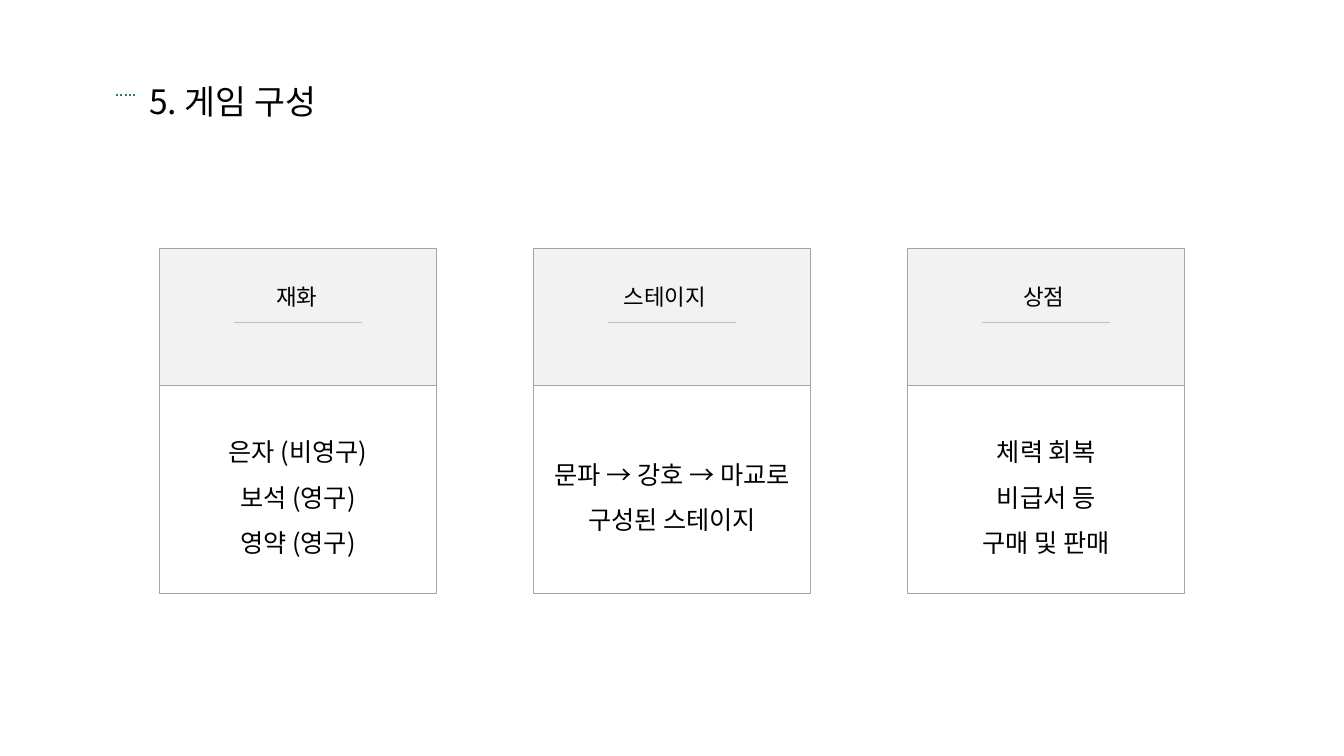
from dataclasses import dataclass

from lxml.etree import SubElement
from pptx import Presentation
from pptx.dml.color import RGBColor
from pptx.enum.dml import MSO_LINE
from pptx.enum.shapes import MSO_CONNECTOR, MSO_SHAPE
from pptx.enum.text import MSO_ANCHOR, MSO_AUTO_SIZE, PP_ALIGN
from pptx.oxml.ns import qn
from pptx.shapes.autoshape import Shape
from pptx.shapes.shapetree import GroupShapes, SlideShapes
from pptx.text.text import TextFrame
from pptx.util import Inches, Pt

FONT = "Noto Sans CJK KR"
CARD_LEFT, CARD_STEP, CARD_WIDTH = 1.58, 3.71, 2.75
HEADER_TOP, HEADER_HEIGHT, DETAIL_HEIGHT = 2.46, 1.36, 2.07
RULE_OFFSET, RULE_WIDTH, RULE_TOP = 0.74, 1.27, 3.2


@dataclass(frozen=True)
class Card:
    """One game component: its heading, heading box and details."""

    heading: str
    heading_offset: float
    heading_width: float
    details: tuple[str, ...]


CARDS = (
    Card("재화", 1.06, 0.65, ("은자 (비영구)", "보석 (영구)", "영약 (영구)")),
    Card("스테이지", 0.8, 1.1, ("문파 → 강호 → 마교로", "구성된 스테이지")),
    Card("상점", 1.05, 0.65, ("체력 회복", "비급서 등", "구매 및 판매")),
)


def color(value: str) -> RGBColor:
    """Turn a hex string into a colour."""
    return RGBColor.from_string(value)


def write(frame: TextFrame, *lines: str, size: float, align: PP_ALIGN = PP_ALIGN.LEFT,
          spacing: float = 1.0, anchor: MSO_ANCHOR = MSO_ANCHOR.TOP,
          wrap: bool = False) -> None:
    """Fill a text frame with one formatted paragraph per line."""
    frame.word_wrap = wrap
    frame.auto_size = MSO_AUTO_SIZE.NONE if wrap else MSO_AUTO_SIZE.SHAPE_TO_FIT_TEXT
    frame.vertical_anchor = anchor
    for index, line in enumerate(lines):
        paragraph = frame.add_paragraph() if index else frame.paragraphs[0]
        paragraph.alignment = align
        paragraph.line_spacing = spacing
        run = paragraph.add_run()
        run.text = line
        run.font.size = Pt(size)
        run.font.color.rgb = color("000000")
        run.font.name = FONT
        SubElement(run.font._element, qn("a:ea"), typeface=FONT)


def draw_line(shapes: SlideShapes, start: float, end: float, top: float, *,
              stroke: str, width: float, dash: MSO_LINE | None = None) -> None:
    """Draw a horizontal line without a shadow."""
    line = shapes.add_connector(MSO_CONNECTOR.STRAIGHT, Inches(start), Inches(top),
                                Inches(end), Inches(top))
    line.line.color.rgb = color(stroke)
    line.line.width = Pt(width)
    if dash is not None:
        line.line.dash_style = dash
    SubElement(line._element.spPr, qn("a:effectLst"))


def draw_panel(shapes: GroupShapes, left: float, top: float, height: float,
               fill: str | None = None) -> Shape:
    """Draw a bordered card panel, filled if a colour is given."""
    panel = shapes.add_shape(MSO_SHAPE.RECTANGLE, Inches(left), Inches(top),
                             Inches(CARD_WIDTH), Inches(height))
    panel.shadow.inherit = False
    panel.line.color.rgb = color("A5A5A5")
    panel.line.width = Pt(0.5)
    if fill:
        panel.fill.solid()
        panel.fill.fore_color.rgb = color(fill)
    else:
        panel.fill.background()
    return panel


def draw_card(shapes: SlideShapes, card: Card, left: float) -> None:
    """Draw a card with its header, details, rule and heading."""
    panels = shapes.add_group_shape().shapes
    draw_panel(panels, left, HEADER_TOP, HEADER_HEIGHT, "F2F2F2")
    details = draw_panel(panels, left, HEADER_TOP + HEADER_HEIGHT, DETAIL_HEIGHT)
    write(details.text_frame, *card.details, size=18, align=PP_ALIGN.CENTER,
          spacing=1.5, anchor=MSO_ANCHOR.MIDDLE, wrap=True)
    rule_left = left + RULE_OFFSET
    draw_line(shapes, rule_left, rule_left + RULE_WIDTH, RULE_TOP,
              stroke="BFBFBF", width=0.5)
    heading = shapes.add_textbox(Inches(left + card.heading_offset), Inches(2.76),
                                 Inches(card.heading_width), Inches(0.37))
    write(heading.text_frame, card.heading, size=16)


def main() -> None:
    """Build and save the game composition slide."""
    presentation = Presentation()
    presentation.slide_width, presentation.slide_height = Inches(13.33), Inches(7.5)
    slide = presentation.slides.add_slide(presentation.slide_layouts[5])
    title = slide.shapes.title
    title.left, title.top = Inches(1.38), Inches(0.75)
    title.width, title.height = Inches(2.06), Inches(0.5)
    write(title.text_frame, "5. 게임 구성", size=24)
    draw_line(slide.shapes, 1.34, 1.14, 0.94, stroke="317F46", width=1.5,
              dash=MSO_LINE.ROUND_DOT)
    for index, card in enumerate(CARDS):
        draw_card(slide.shapes, card, CARD_LEFT + index * CARD_STEP)
    presentation.save("out.pptx")


if __name__ == "__main__":
    main()
